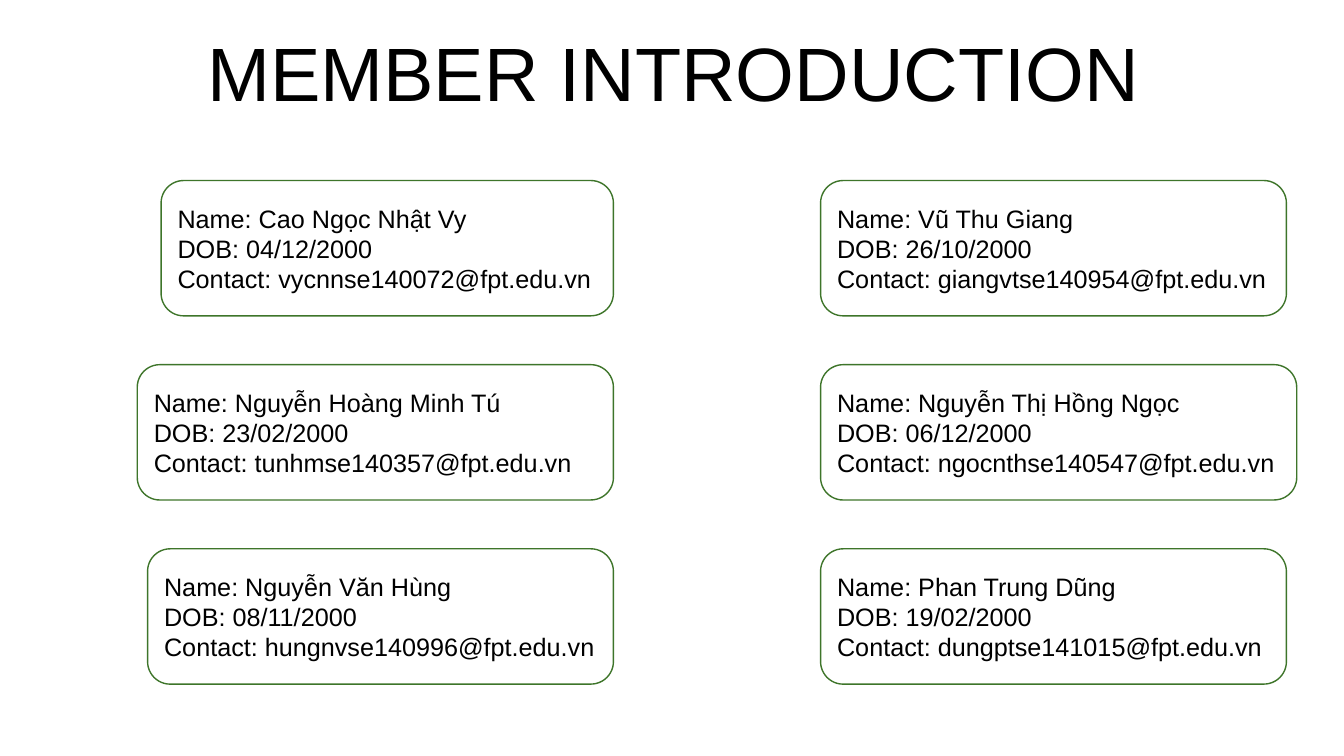
"""Build the member introduction slide with six contact cards."""
from pptx import Presentation
from pptx.dml.color import RGBColor
from pptx.enum.shapes import MSO_SHAPE
from pptx.enum.text import MSO_ANCHOR, PP_ALIGN
from pptx.util import Cm, Pt

CARD_SHAPE = MSO_SHAPE.ROUNDED_RECTANGLE
MIDDLE = MSO_ANCHOR.MIDDLE
LEFT, CENTER = PP_ALIGN.LEFT, PP_ALIGN.CENTER

TITLE = "MEMBER INTRODUCTION"
FIELDS = ("Name", "DOB", "Contact")
LEFT_MEMBERS = [
    (("Cao Ngọc Nhật Vy", "04/12/2000", "vycnnse140072@fpt.edu.vn"), 11.4),
    (("Nguyễn Hoàng Minh Tú", "23/02/2000", "tunhmse140357@fpt.edu.vn"), 12),
    (("Nguyễn Văn Hùng", "08/11/2000", "hungnvse140996@fpt.edu.vn"), 11.74),
]
RIGHT_MEMBERS = [
    (("Vũ Thu Giang", "26/10/2000", "giangvtse140954@fpt.edu.vn"), 11.74),
    (("Nguyễn Thị Hồng Ngọc", "06/12/2000", "ngocnthse140547@fpt.edu.vn"), 12),
    (("Phan Trung Dũng", "19/02/2000", "dungptse141015@fpt.edu.vn"), 11.74),
]
COLORS = {"text": "000000", "card": "FFFFFF", "border": "3E752A"}
FONT = "Arial"
LEFT_COLUMN_END, RIGHT_COLUMN_START = 15.46, 20.68
FIRST_ROW, ROW_STEP, CARD_HEIGHT = 4.55, 4.64, 3.41


def color(name):
    return RGBColor.from_string(COLORS[name])


def write(box, lines, size, alignment):
    frame = box.text_frame
    frame.word_wrap = True
    frame.vertical_anchor = MIDDLE
    frame.text = "\n".join(lines)
    for paragraph in frame.paragraphs:
        paragraph.alignment = alignment
        paragraph.font.name = FONT
        paragraph.font.size = Pt(size)
        paragraph.font.color.rgb = color("text")


def add_title(page):
    box = page.shapes.add_textbox(Cm(0.89), Cm(0.94), Cm(32.16), Cm(2))
    write(box, [TITLE], 54, CENTER)
    box.text_frame.paragraphs[0].line_spacing = 0.9


def add_card(page, member, left, top, width):
    card = page.shapes.add_shape(CARD_SHAPE, Cm(left), Cm(top), Cm(width), Cm(CARD_HEIGHT))
    card.shadow.inherit = False
    card.fill.solid()
    card.fill.fore_color.rgb = color("card")
    card.line.color.rgb = color("border")
    card.line.width = Pt(1)
    lines = [f"{field}: {value}" for field, value in zip(FIELDS, member)]
    write(card, lines, 18, LEFT)


def main():
    deck = Presentation()
    deck.slide_width, deck.slide_height = Cm(33.87), Cm(19.05)
    page = deck.slides.add_slide(deck.slide_layouts[6])
    add_title(page)
    for row, (left_entry, right_entry) in enumerate(zip(LEFT_MEMBERS, RIGHT_MEMBERS)):
        top = FIRST_ROW + row * ROW_STEP
        member, width = left_entry
        add_card(page, member, LEFT_COLUMN_END - width, top, width)
        member, width = right_entry
        add_card(page, member, RIGHT_COLUMN_START, top, width)
    deck.save("out.pptx")


if __name__ == "__main__":
    main()
